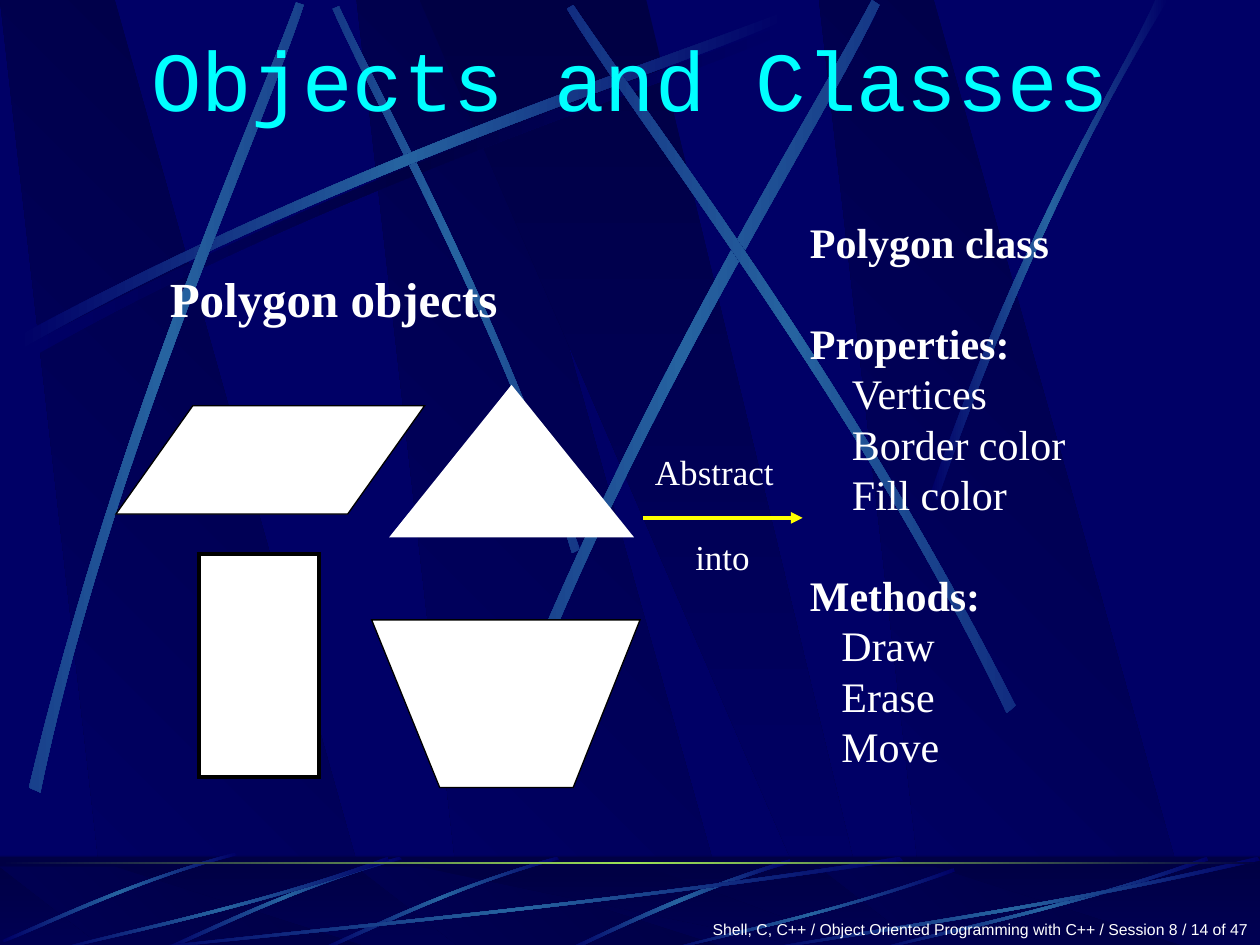
from math import cos, radians, sin

from lxml import etree
from pptx import Presentation
from pptx.dml.color import RGBColor
from pptx.enum.shapes import MSO_CONNECTOR, MSO_SHAPE
from pptx.enum.text import MSO_ANCHOR, PP_ALIGN
from pptx.oxml.ns import qn
from pptx.util import Inches, Pt

RECT = MSO_SHAPE.RECTANGLE
LEFT, CENTER, RIGHT = PP_ALIGN.LEFT, PP_ALIGN.CENTER, PP_ALIGN.RIGHT
WIDTH, HEIGHT = 10, 7.5
SERIF = "Times New Roman"
COLORS = {"navy": "000066", "dark": "000044", "beam": "2663A0", "lime": "9CE157",
          "cyan": "00FFFF", "white": "FFFFFF", "black": "000000", "yellow": "FFFF00"}

# Background panels: left edges of the slanted ones, and (top, bottom) of each zone
PANEL_LEFTS = (2.83, 0, 6.5)
WALL, FLOOR = (0, 7.52), (6.88, 7.55)

# Streaks: middle colour, rotation, then two Bezier edges of four points each
WALL_STREAKS = [
    ("dark", 0, [(0.2, 2.75), (2.84, 1.34), (5.24, 0.59), (6.26, 0.18),
                 (6.29, 0.24), (5.28, 0.69), (2.54, 1.51), (0.23, 2.85)]),
    ("beam", 45, [(4.6, 4.36), (3.91, 2.34), (3.02, 0.77), (2.69, 0.05),
                  (2.64, 0.07), (2.95, 0.79), (3.98, 2.58), (4.54, 4.39)]),
    ("beam", 0, [(0.14, 2.67), (2.78, 1.25), (5.18, 0.51), (6.2, 0.1),
                 (6.23, 0.16), (5.22, 0.61), (2.48, 1.43), (0.17, 2.77)]),
    ("beam", 311.7, [(0.23, 6.25), (0.93, 3.34), (1.97, 1.05), (2.35, 0.02),
                     (2.41, 0.04), (2.07, 1.08), (0.86, 3.68), (0.32, 6.29)]),
    ("beam", 321.6, [(3.85, 6.14), (4.98, 3.2), (6.38, 1.02), (6.92, 0),
                     (6.98, 0.04), (6.49, 1.08), (4.86, 3.55), (3.94, 6.21)]),
    ("beam", 34.8, [(8.06, 5.6), (6.7, 2.93), (5.16, 0.95), (4.55, 0.04),
                    (4.5, 0.07), (5.07, 1.01), (6.85, 3.25), (7.99, 5.66)]),
    ("beam", 0, [(7.38, 3.93), (8.14, 1.73), (8.88, 0.66), (9.17, 0),
                 (9.27, 0), (8.36, 1.45), (7.69, 3.22), (7.44, 3.97)]),
]
# Floor streaks of one family share an outline, placed by left, top, width and height
SHORT_STREAK = [(1.86, 0.04), (0.99, 0.28), (0.31, 0.63), (0, 0.76),
                (0.01, 0.78), (0.32, 0.66), (1.09, 0.26), (1.88, 0.06)]
LONG_STREAK = [(1, 0.04), (0.57, 0.57), (0.17, 0.85), (0.005, 1),
               (0, 0.99), (0.165, 0.81), (0.615, 0.51), (0.995, 0)]
SHORT_PLACES = [(2.56, 6.76, 1, 1), (1.31, 6.76, 1, 1), (0.02, 6.73, 0.99, 0.96)]
LONG_PLACES = [(1, 6.8, 6.17, 0.75), (0.42, 6.8, 2.67, 0.75), (5.27, 6.89, 2.31, 0.66),
               (6.92, 6.8, 2.67, 0.75), (6, 6.8, 4, 0.75)]
FLOOR_STREAKS = [("beam", 0, [(6.27, 6.82), (5.37, 7.09), (4.77, 7.42), (4.48, 7.54),
                              (4.53, 7.55), (4.9, 7.37), (5.71, 7), (6.28, 6.85)])]
for rotation, outline, places in ((314.9, SHORT_STREAK, SHORT_PLACES),
                                  (0, LONG_STREAK, LONG_PLACES)):
    FLOOR_STREAKS += [("beam", rotation, [(left + x * w, top + y * h) for x, y in outline])
                      for left, top, w, h in places]

# Polygon objects: preset, place, line colour, line width
POLYGONS = [
    (MSO_SHAPE.PARALLELOGRAM, (0.92, 3.22, 2.45, 0.86), "black", 0.75),
    (MSO_SHAPE.ISOSCELES_TRIANGLE, (3.12, 3.08, 1.88, 1.17), "white", 2.25),
    (RECT, (1.58, 4.4, 0.95, 1.77), "black", 2.25),
]
TRAPEZOID = [(2.95, 4.92), (5.08, 4.92), (4.55, 6.25), (3.49, 6.25)]

# Text: paragraphs are (text, bold, indent in points, blank lines before, alignment)
ABSTRACT = [("Abstract", False, 0, 0, LEFT), ("into", False, 0, 1, CENTER)]
CLASS_LINES = [("Polygon class", True, 0, 0, LEFT), ("Properties:", True, 0, 1, LEFT)]
CLASS_LINES += [(name, False, 24, 0, LEFT) for name in ("Vertices", "Border color", "Fill color")]
CLASS_LINES += [("Methods:", True, 0, 1, LEFT)]
CLASS_LINES += [(name, False, 18, 0, LEFT) for name in ("Draw", "Erase", "Move")]
FOOTER = "Shell, C, C++ / Object Oriented Programming with C++ / Session 8 / 14 of 47"

deck = Presentation()
deck.slide_width, deck.slide_height = Inches(WIDTH), Inches(HEIGHT)
page = deck.slides.add_slide(deck.slide_layouts[6])
page.background.fill.solid()
page.background.fill.fore_color.rgb = RGBColor.from_string(COLORS["navy"])


def rgb(name):
    return RGBColor.from_string(COLORS[name])


def paint(shape, color, line=None, line_width=0.75):
    shape.shadow.inherit = False
    shape.fill.solid()
    shape.fill.fore_color.rgb = rgb(color)
    if line:
        shape.line.color.rgb = rgb(line)
        shape.line.width = Pt(line_width)
        etree.SubElement(shape.line._get_or_add_ln(), qn("a:miter"), lim="800000")
    else:
        shape.line.fill.background()


def paint_gradient(shape, names, angle):
    """Spread the named colours evenly along a clockwise angle fixed to the page."""
    paint(shape, names[0])
    solid = shape._element.spPr.find(qn("a:solidFill"))
    grad = etree.Element(qn("a:gradFill"), rotWithShape="0")
    stops = etree.SubElement(grad, qn("a:gsLst"))
    for index, name in enumerate(names):
        stop = etree.SubElement(stops, qn("a:gs"), pos=str(100000 * index // (len(names) - 1)))
        etree.SubElement(stop, qn("a:srgbClr"), val=COLORS[name])
    etree.SubElement(grad, qn("a:lin"), ang=str(angle * 60000), scaled="0")
    solid.getparent().replace(solid, grad)


def add_outline(points):
    corners = [(Inches(x), Inches(y)) for x, y in points]
    builder = page.shapes.build_freeform(*corners[0], scale=1.0)
    builder.add_line_segments(corners[1:], close=True)
    return builder.convert_to_shape()


def add_preset(preset, place):
    return page.shapes.add_shape(preset, *map(Inches, place))


def turn(point, degrees):
    x, y = point
    c, s = cos(radians(degrees)), sin(radians(degrees))
    return x * c - y * s, x * s + y * c


def bend_edges(shape):
    """Turn the points of both long edges into Bezier curves."""
    segments = list(shape._element.iter(qn("a:lnTo")))
    for edge in (segments[0:3], segments[4:7]):
        curve = etree.Element(qn("a:cubicBezTo"))
        edge[0].addprevious(curve)
        for segment in edge:
            curve.append(segment[0])
            segment.getparent().remove(segment)


def add_streak(middle, rotation, points):
    shape = add_outline([turn(point, -rotation) for point in points])
    bend_edges(shape)
    center = turn((shape.left + shape.width / 2, shape.top + shape.height / 2), rotation)
    shape.left = int(center[0] - shape.width / 2)
    shape.top = int(center[1] - shape.height / 2)
    shape.rotation = rotation
    paint_gradient(shape, ("navy", middle, "navy"), 180)


def add_panels(top, bottom):
    for left in PANEL_LEFTS:
        slanted = [(0.86, bottom), (3.02, bottom), (0.91, top), (0, top)]
        paint_gradient(add_outline([(left + x, y) for x, y in slanted]), ("dark", "navy"), 135)
    wide = [(3.33, top), (6.58, bottom), (6.94, bottom), (5.13, top)]
    paint_gradient(add_outline(wide), ("dark", "navy"), 90)


def add_text(place, lines, size, font, color="white", anchor=MSO_ANCHOR.TOP, pitch=None):
    box = page.shapes.add_textbox(*map(Inches, place))
    frame = box.text_frame
    frame.word_wrap = True
    frame.vertical_anchor = anchor
    frame.text = "\n".join(line[0] for line in lines)
    for para, (_, bold, indent, blanks, align) in zip(frame.paragraphs, lines):
        para.alignment = align
        if pitch:
            para.line_spacing = Pt(size * pitch)
        para.space_before = Pt(blanks * size * 1.2)
        para._p.get_or_add_pPr().set("marL", str(Pt(indent)))
        span = para.runs[0].font
        span.name, span.size, span.bold = font, Pt(size), bold
        span.color.rgb = rgb(color)


# Wall and floor background
add_panels(*WALL)
for streak in WALL_STREAKS:
    add_streak(*streak)
paint_gradient(add_preset(RECT, (0, 6.8, WIDTH, 0.75)), ("dark", "navy"), 90)
add_panels(*FLOOR)
shade = add_preset(RECT, (0, 6.79, WIDTH, 0.75))
paint(shade, "dark")
shade_color = shade._element.spPr.find(qn("a:solidFill"))[0]
etree.SubElement(shade_color, qn("a:alpha"), val="50000")
for streak in FLOOR_STREAKS:
    add_streak(*streak)
paint_gradient(add_preset(RECT, (0, 6.84, WIDTH, 0.02)), ("dark", "lime", "dark"), 180)

# Footer and title
add_text((0, 7.25, WIDTH, 0.25), [(FOOTER, False, 0, 0, RIGHT)], 9, "Arial")
add_text((0.75, 0.17, 8.5, 0.9), [("Objects and Classes", False, 0, 0, CENTER)],
         48, "Courier New", "cyan", MSO_ANCHOR.MIDDLE)

# Polygon objects
for preset, place, line, line_width in POLYGONS:
    polygon = add_preset(preset, place)
    if preset == MSO_SHAPE.PARALLELOGRAM:
        polygon.adjustments[0] = 0.71
    paint(polygon, "white", line, line_width)
paint(add_outline(TRAPEZOID), "white", "black")

# Arrow from objects to class
arrow = page.shapes.add_connector(MSO_CONNECTOR.STRAIGHT, *map(Inches, (5.1, 4.11, 6.37, 4.11)))
arrow.line.color.rgb = rgb("yellow")
arrow.line.width = Pt(2.25)
etree.SubElement(arrow.line._get_or_add_ln(), qn("a:tailEnd"), type="triangle")
etree.SubElement(arrow._element.spPr, qn("a:effectLst"))

# Labels
add_text((5.1, 3.53, 1.27, 0.89), ABSTRACT, 20, SERIF, pitch=1.2)
add_text((6.33, 1.67, 3, 4.92), CLASS_LINES, 24, SERIF, pitch=1.2)
add_text((1.25, 2.08, 3.08, 0.69), [("Polygon objects", True, 0, 0, LEFT)], 28, SERIF, pitch=1.2)

deck.save("out.pptx")
